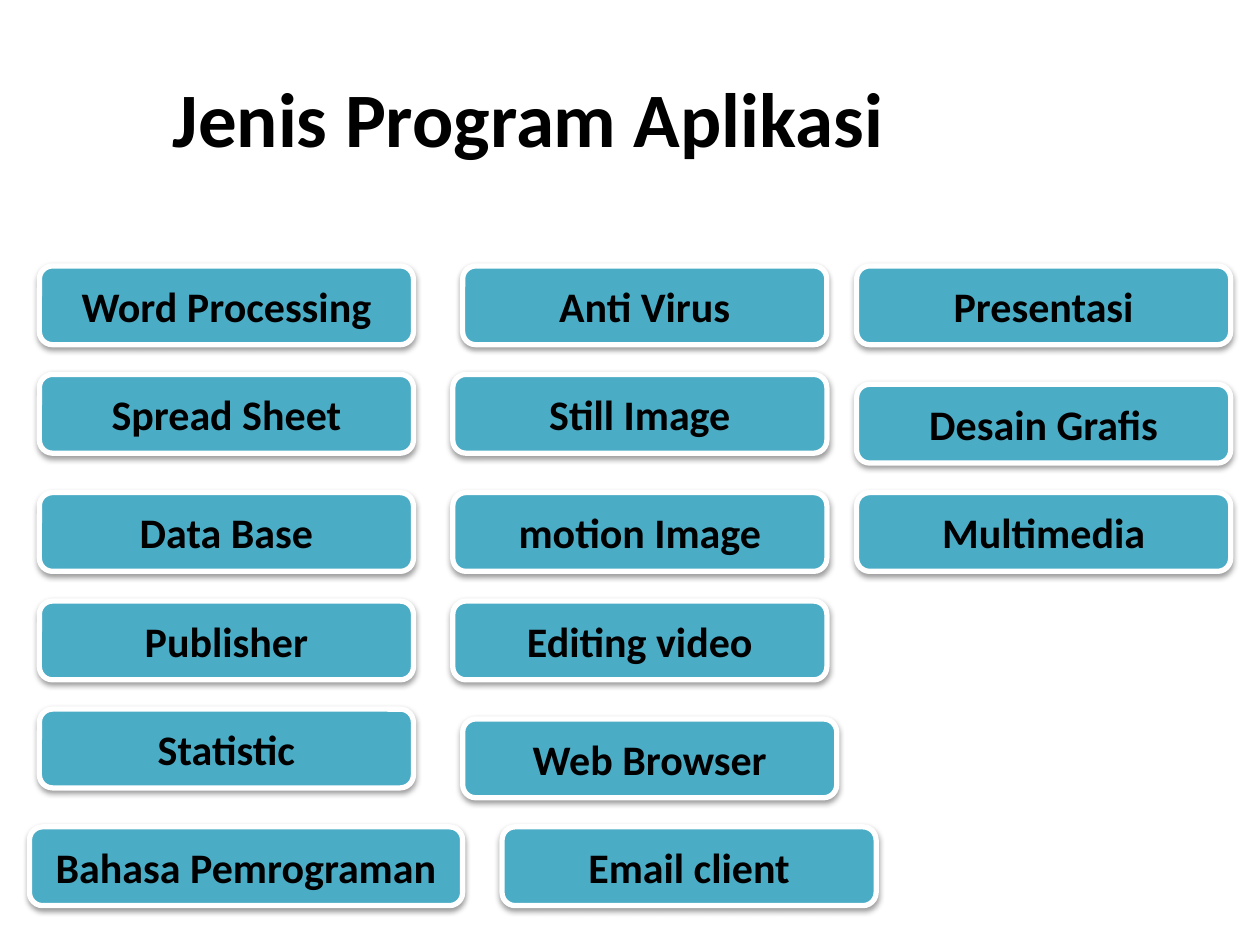
"""Build a slide of application program types as three columns of labelled boxes."""
import pptx
import pptx.util
import pptx.oxml
import pptx.oxml.ns
import pptx.dml.color
import pptx.enum.shapes
import pptx.enum.text

Pt = pptx.util.Pt
TEAL = pptx.dml.color.RGBColor(0x4B, 0xAC, 0xC6)
WHITE = pptx.dml.color.RGBColor(0xFF, 0xFF, 0xFF)
BLACK = pptx.dml.color.RGBColor(0x00, 0x00, 0x00)
SHADOW = (
    f'<a:outerShdw {pptx.oxml.ns.nsdecls("a")} blurRad="40000" dist="20000" '
    'dir="5400000" rotWithShape="0"><a:srgbClr val="000000">'
    '<a:alpha val="38000"/></a:srgbClr></a:outerShdw>'
)


def write(shape, text, size=24, color=BLACK, bold=True):
    frame = shape.text_frame
    frame.word_wrap = True
    frame.vertical_anchor = pptx.enum.text.MSO_ANCHOR.MIDDLE
    para = frame.paragraphs[0]
    para.alignment = pptx.enum.text.PP_ALIGN.CENTER
    run = para.add_run()
    run.text = text
    run.font.name = "Calibri"
    run.font.size = Pt(size)
    run.font.bold = bold
    run.font.color.rgb = color


deck = pptx.Presentation()
deck.slide_width, deck.slide_height = Pt(720), Pt(540)
slide = deck.slides.add_slide(deck.slide_layouts[5])

title = slide.shapes.title
title.left, title.top, title.width, title.height = Pt(36), Pt(21.6), Pt(532), Pt(90)
write(title, "Jenis Program Aplikasi", size=44)

WIDTH, HEIGHT, STEP = 213.75, 45, 5.63
ROWS = [152, 214, 281.5, 343.5, 405.25, 472.5]
COLS = {
    22.5: ["Word Processing", "Spread Sheet", "Data Base", "Publisher",
           "Statistic", "Bahasa Pemrograman"],
    258.75: ["Anti Virus", "Still Image", "motion Image", "Editing video",
             "Web Browser", "Email client"],
    489.5: ["Presentasi", "Desain Grafis", "Multimedia"],
}
SHIFTS = {
    "Anti Virus": (1, 0, -1),
    "Web Browser": (1, 1, 0),
    "Desain Grafis": (0, 1, 0),
    "Bahasa Pemrograman": (-1, 0, 6),
    "Email client": (5, 0, 0),
}

for left, names in COLS.items():
    for top, name in zip(ROWS, names):
        right, down, wide = SHIFTS.get(name, (0, 0, 0))
        box = slide.shapes.add_shape(
            pptx.enum.shapes.MSO_SHAPE.ROUNDED_RECTANGLE,
            Pt(left + right * STEP), Pt(top + down * STEP),
            Pt(WIDTH + wide * STEP), Pt(HEIGHT))
        box.fill.solid()
        box.fill.fore_color.rgb = TEAL
        box.line.color.rgb = WHITE
        box.line.width = Pt(3)
        box.shadow.inherit = False
        effects = box.element.spPr.find(pptx.oxml.ns.qn("a:effectLst"))
        effects.append(pptx.oxml.parse_xml(SHADOW))
        write(box, name)

deck.save("out.pptx")
